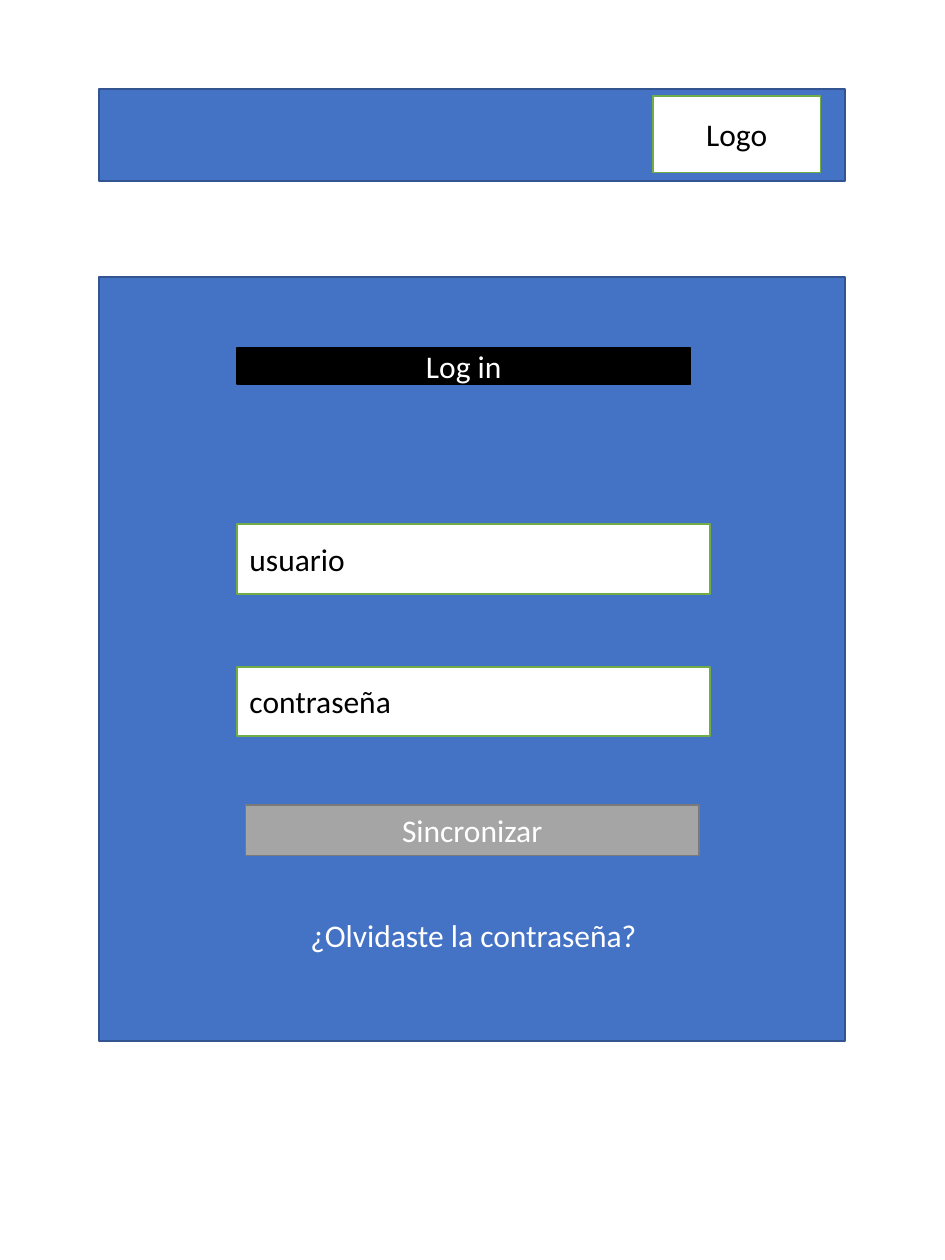
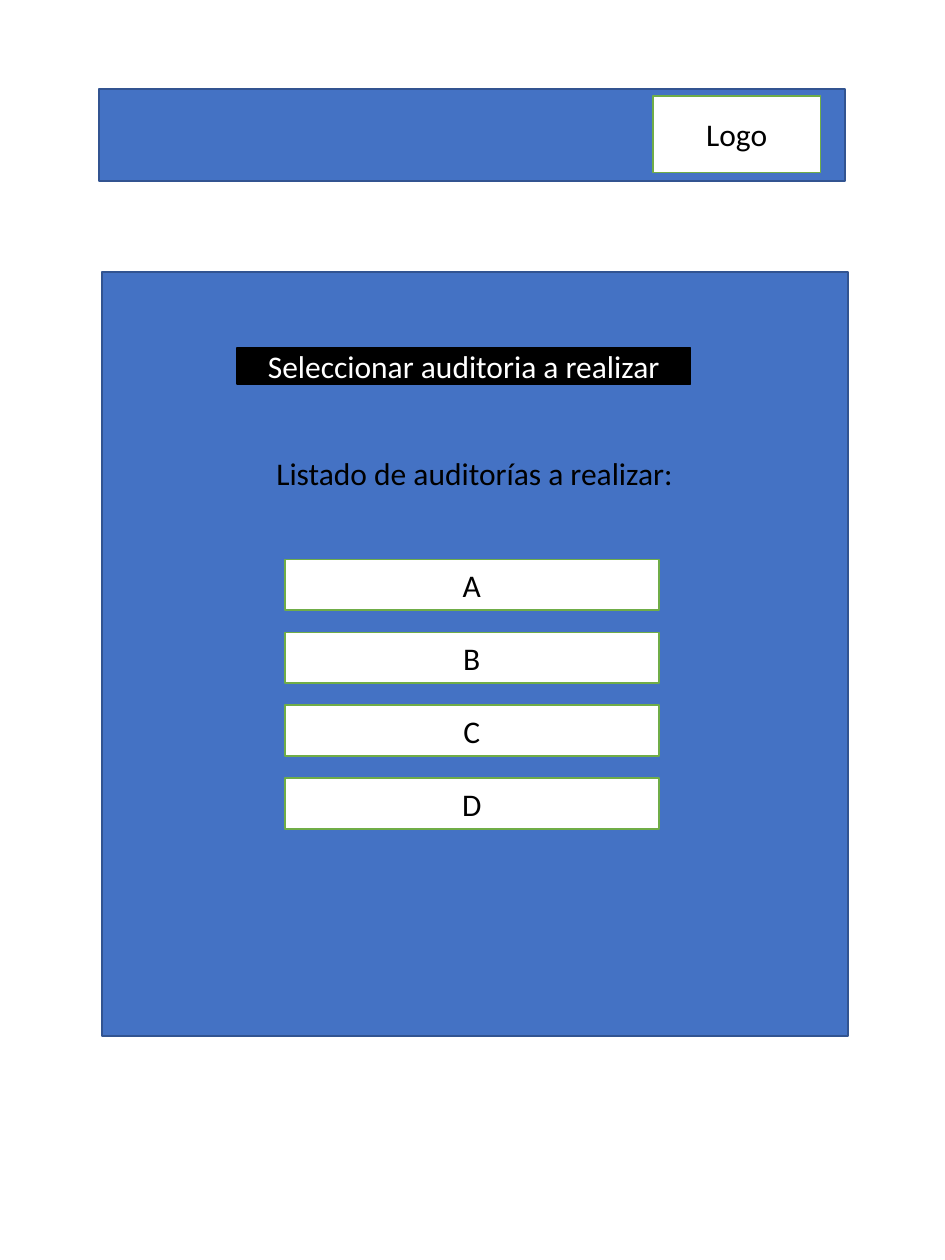
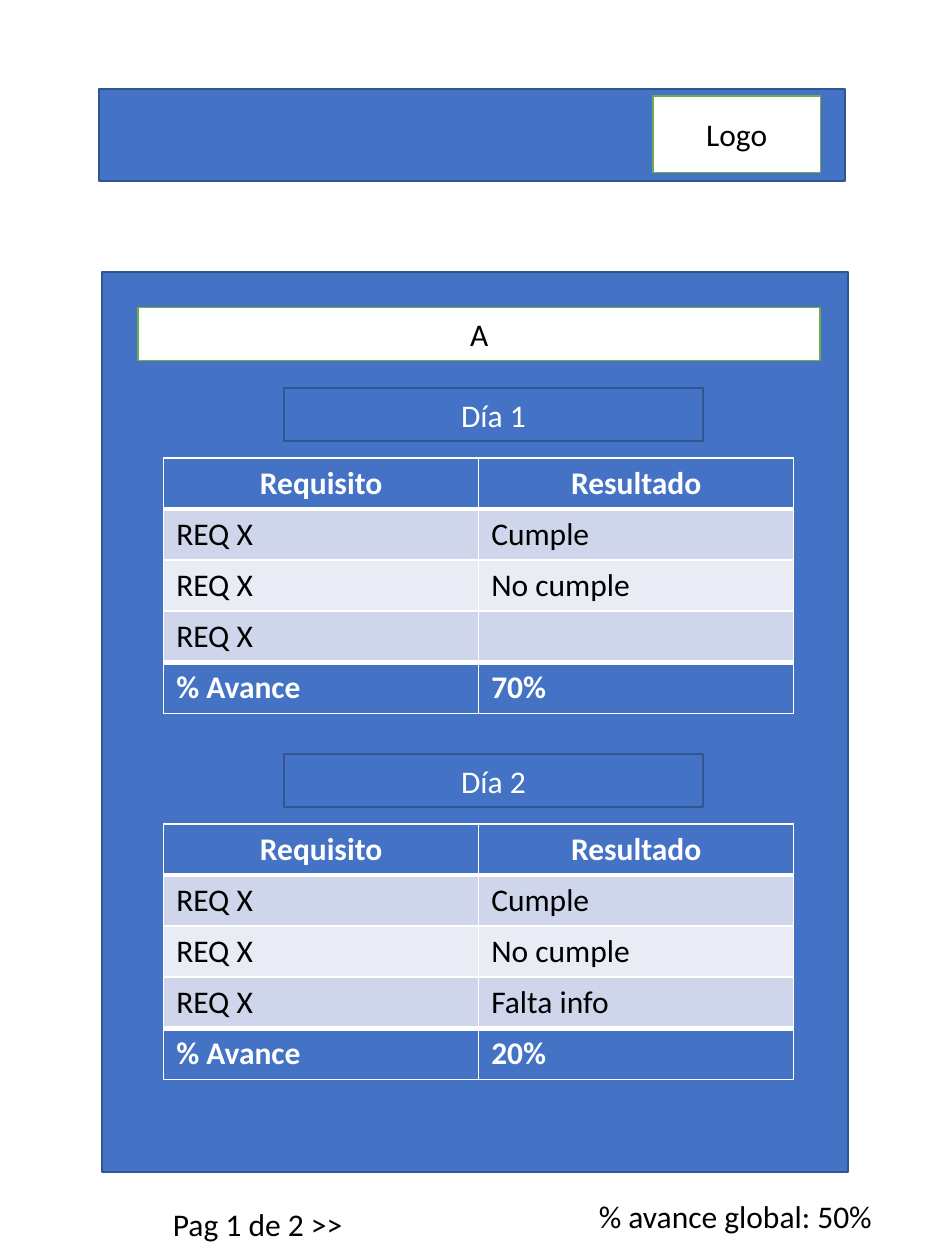
from lxml import etree
from pptx import Presentation
from pptx.dml.color import RGBColor
from pptx.enum.shapes import MSO_SHAPE
from pptx.enum.text import MSO_ANCHOR, MSO_AUTO_SIZE, PP_ALIGN
from pptx.oxml.ns import qn
from pptx.util import Cm, Pt

RECT = MSO_SHAPE.RECTANGLE
MIDDLE = MSO_ANCHOR.MIDDLE
GROW = MSO_AUTO_SIZE.SHAPE_TO_FIT_TEXT
LEFT, CENTER, RIGHT = PP_ALIGN.LEFT, PP_ALIGN.CENTER, PP_ALIGN.RIGHT

COLORS = {
    "blue": "4472C4", "navy": "325491", "green": "70AD47",
    "white": "FFFFFF", "black": "000000",
    "gray": "A5A5A5", "dark_gray": "7A7A7A",
    "band_dark": "CFD5EA", "band_light": "E9EBF5",
}
RGB = {name: RGBColor.from_string(value) for name, value in COLORS.items()}

# Box styles: fill, line, text
PANEL = ("blue", "navy", "white")
FIELD = ("white", "green", "black")
TITLE = ("black", "black", "white")
BUTTON = ("gray", "dark_gray", "white")


def write(tf, text, color, align=CENTER, bold=False):
    p = tf.paragraphs[0]
    p.text = text
    p.alignment = align
    p.font.size = Pt(18)
    for r in p.runs:
        r.font.name = "Calibri"
        r.font.size = Pt(18)
        r.font.bold = bold
        r.font.color.rgb = RGB[color]


def add_box(s, at, text="", style=None, color="black", align=CENTER):
    """Add a styled rectangle, or a plain text box when no style is given."""
    at = [Cm(v) for v in at]
    if style:
        fill, line, color = style
        sp = s.shapes.add_shape(RECT, *at)
        sp.shadow.inherit = False
        sp.fill.solid()
        sp.fill.fore_color.rgb = RGB[fill]
        sp.line.color.rgb = RGB[line]
        sp.line.width = Pt(1)
        sp.text_frame.vertical_anchor = MIDDLE
    else:
        sp = s.shapes.add_textbox(*at)
        sp.text_frame.auto_size = GROW
    sp.text_frame.word_wrap = True
    if text:
        write(sp.text_frame, text, color, align)


prs = Presentation()
prs.slide_width, prs.slide_height = Cm(19.05), Cm(25.4)

# Shared header, panel and title
slides = []
for panel_left, panel_top, panel_height, title in (
    (2, 5.59, 15.39, "Log in"),
    (2.06, 5.49, 15.39, "Seleccionar auditoria a realizar"),
    (2.06, 5.49, 18.14, None),
):
    s = prs.slides.add_slide(prs.slide_layouts[6])
    add_box(s, (2, 1.8, 15.04, 1.85), style=PANEL)
    add_box(s, (panel_left, panel_top, 15.04, panel_height), style=PANEL)
    add_box(s, (13.16, 1.93, 3.38, 1.55), "Logo", FIELD)
    if title:
        add_box(s, (4.78, 7.01, 9.14, 0.74), title, TITLE)
    slides.append(s)
login, selection, audit = slides

# Slide 1: login form
for top, label in ((10.57, "usuario"), (13.44, "contraseña")):
    add_box(login, (4.78, top, 9.53, 1.4), label, FIELD, align=LEFT)
add_box(login, (4.95, 16.23, 9.14, 1.02), "Sincronizar", BUTTON)
add_box(login, (4.78, 18.34, 9.53, 1.02), "¿Olvidaste la contraseña?", color="white")

# Slide 2: list of audits
add_box(selection, (4.06, 9.02, 11.02, 1.02), "Listado de auditorías a realizar:")
for i, name in enumerate("ABCD"):
    add_box(selection, (5.74, 11.28 + 1.47 * i, 7.54, 1.02), name, FIELD)

# Slide 3: results of each day
add_box(audit, (2.79, 6.2, 13.74, 1.07), "A", FIELD)
for day, top, results, progress in (
    (1, 7.82, ("Cumple", "No cumple", ""), "70%"),
    (2, 15.2, ("Cumple", "No cumple", "Falta info"), "20%"),
):
    add_box(audit, (5.72, top, 8.46, 1.07), f"Día {day}", PANEL)
    rows = [("Requisito", "Resultado")]
    rows += [("REQ X", result) for result in results]
    rows.append(("% Avance", progress))
    last = len(rows) - 1
    table = audit.shapes.add_table(len(rows), 2, Cm(3.3), Cm(top + 1.41),
                                   Cm(12.7), Cm(1.03 * len(rows))).table
    table.last_row = True
    for i, row in enumerate(rows):
        table.rows[i].height = Cm(1.03)
        accent = i in (0, last)
        fill = "blue" if accent else "band_dark" if i % 2 else "band_light"
        for j, text in enumerate(row):
            cell = table.cell(i, j)
            # White grid, thicker below the header and above the total
            tcPr = cell._tc.get_or_add_tcPr()
            for side in ("L", "R", "T", "B"):
                thick = (side == "B" and i in (0, last - 1)
                         or side == "T" and i in (1, last))
                ln = etree.SubElement(tcPr, qn(f"a:ln{side}"),
                                      w=str(Pt(3 if thick else 1)))
                solid = etree.SubElement(ln, qn("a:solidFill"))
                etree.SubElement(solid, qn("a:srgbClr"), val=COLORS["white"])
            cell.fill.solid()
            cell.fill.fore_color.rgb = RGB[fill]
            write(cell.text_frame, text, "white" if accent else "black",
                  CENTER if i == 0 else LEFT, accent)

# Slide 3: footer
add_box(audit, (11.2, 24, 6.63, 1.02), "% avance global: 50%", align=RIGHT)
add_box(audit, (1.88, 24.16, 6.63, 1.02), "Pag 1 de 2 >>")

prs.save("out.pptx")
